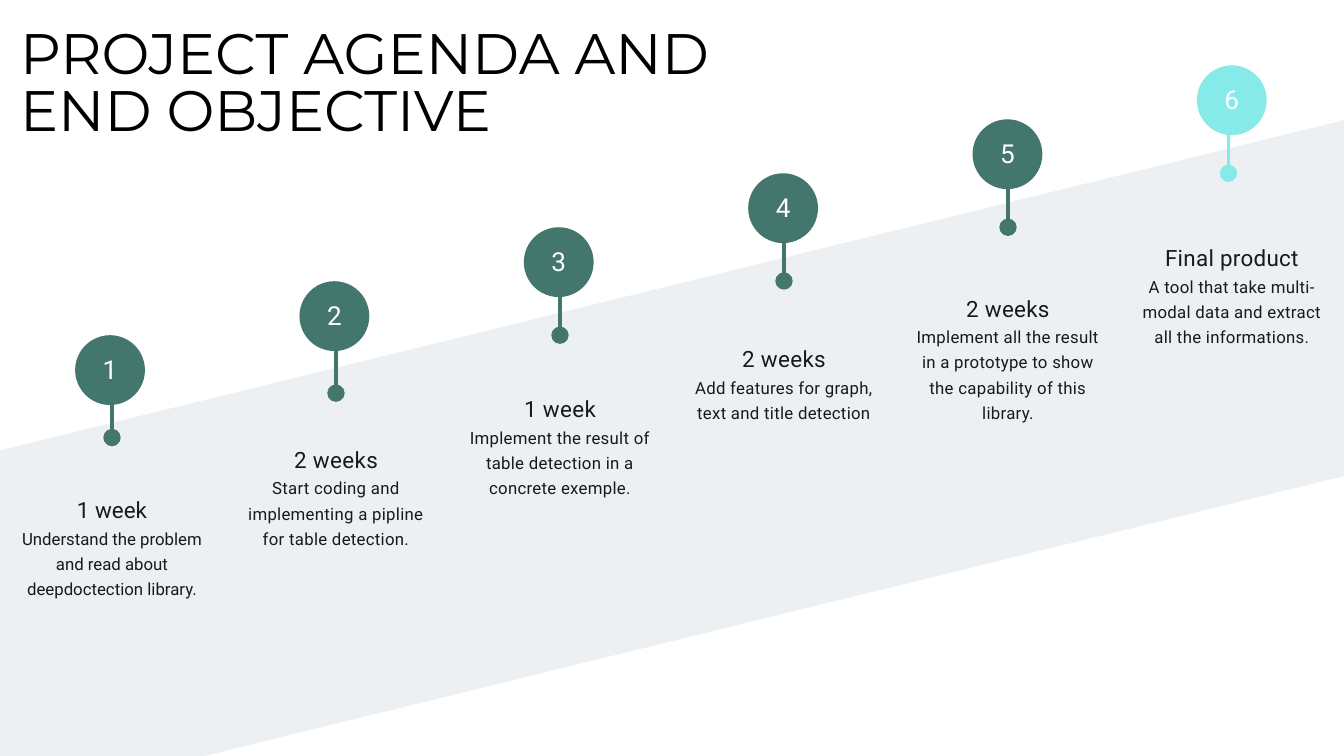
"""Build the project agenda slide: six milestones rising along a slanted band."""

from dataclasses import dataclass

from lxml import etree
from pptx import Presentation
from pptx.dml.color import RGBColor
from pptx.enum.shapes import MSO_CONNECTOR, MSO_SHAPE
from pptx.enum.text import MSO_ANCHOR, MSO_AUTO_SIZE, PP_ALIGN
from pptx.oxml.ns import qn
from pptx.slide import Slide
from pptx.util import Cm, Pt

STRAIGHT = MSO_CONNECTOR.STRAIGHT
RECTANGLE, OVAL = MSO_SHAPE.RECTANGLE, MSO_SHAPE.OVAL
TOP, MIDDLE = MSO_ANCHOR.TOP, MSO_ANCHOR.MIDDLE
NO_AUTOFIT = MSO_AUTO_SIZE.NONE
LEFT, CENTER = PP_ALIGN.LEFT, PP_ALIGN.CENTER

TITLE_ONLY = 5
WIDTH = 50.8
HEIGHT = WIDTH * 9 / 16
TEAL, AQUA, GREY = "43766C", "86EAE9", "EDF0F2"
WHITE, BLACK, INK = "FFFFFF", "000000", "191919"
BODY_LEADING = 27
CELL_INSET = 0.53
BAND_ROTATION = 346.2


@dataclass(frozen=True)
class Milestone:
    """One step of the agenda, with its stem in centimetres."""

    heading: str
    body: str
    stem_top: float
    stem_length: float = 1.6
    stem_shift: float = 0
    heading_spacing: float = 0.4
    body_spacing: float = 0.3
    color: str = TEAL


@dataclass(frozen=True)
class Band:
    """A slanted white strip in centimetres."""

    left: float
    top: float
    width: float
    height: float


MILESTONES = [
    Milestone("1 week", "Understand the problem and read about deepdoctection library.",
              14.94, heading_spacing=0, body_spacing=0),
    Milestone("2 weeks", "Start coding and implementing a pipline for table detection.", 13.26),
    Milestone("1 week", "Implement the result of table detection in a concrete exemple.", 11.07),
    Milestone("2 weeks", "Add features for graph, text and title detection", 9.02),
    Milestone("2 weeks", "Implement all the result in a prototype to show the capability of this library.",
              6.99, heading_spacing=0.3),
    Milestone("Final product", "A tool that take multi-modal data and extract all the informations.",
              4.85, stem_length=1.7, stem_shift=-0.13, heading_spacing=0.3, color=AQUA),
]
BANDS = [Band(0.28, 23.57, 57.58, 15.65), Band(-5.82, -6.1, 57.58, 17.22)]


def rgb(color: str) -> RGBColor:
    """Turn a hex string into a colour."""
    return RGBColor.from_string(color)


def write_text(paragraph, text: str, *, size: float, leading: float, color: str = INK,
               font: str = "Roboto", align=CENTER, spacing: float = 0) -> None:
    """Write one formatted run into a paragraph."""
    paragraph.alignment = align
    paragraph.line_spacing = Pt(leading)
    run = paragraph.add_run()
    run.text = text
    run.font.name = font
    run.font.size = Pt(size)
    run.font.bold = False
    run.font.color.rgb = rgb(color)
    if spacing:
        run._r.get_or_add_rPr().set("spc", str(round(spacing * 100)))


def clear_margins(text_frame) -> None:
    """Remove the insets of a text frame."""
    text_frame.margin_left = text_frame.margin_right = 0
    text_frame.margin_top = text_frame.margin_bottom = 0


def add_filled_shape(slide: Slide, kind, left: float, top: float,
                     width: float, height: float, color: str):
    """Add a flat shape without outline."""
    shape = slide.shapes.add_shape(kind, Cm(left), Cm(top), Cm(width), Cm(height))
    shape.shadow.inherit = False
    shape.fill.solid()
    shape.fill.fore_color.rgb = rgb(color)
    shape.line.fill.background()
    return shape


def fill_cell(cell, milestone: Milestone, index: int) -> None:
    """Format one agenda cell, two lines higher than the one before."""
    properties = cell._tc.get_or_add_tcPr()
    for side in ("a:lnL", "a:lnR", "a:lnT", "a:lnB"):
        border = etree.SubElement(properties, qn(side), w="0")
        etree.SubElement(border, qn("a:noFill"))
    cell.fill.solid()
    cell.fill.fore_color.rgb = rgb(GREY)
    cell.margin_left = cell.margin_right = cell.margin_bottom = Cm(CELL_INSET)
    cell.margin_top = Cm(CELL_INSET) + Pt(BODY_LEADING) * (19 - 2 * index)
    cell.vertical_anchor = TOP
    text_frame = cell.text_frame
    write_text(text_frame.paragraphs[0], milestone.heading, size=24, leading=36,
               spacing=milestone.heading_spacing)
    write_text(text_frame.add_paragraph(), milestone.body, size=18, leading=BODY_LEADING,
               spacing=milestone.body_spacing)


def add_agenda_table(slide: Slide) -> None:
    """Add the one-row table with a column for each milestone."""
    frame = slide.shapes.add_table(1, len(MILESTONES), 0, Cm(-0.08), Cm(WIDTH), Cm(31.7))
    table = frame.table
    table.first_row = table.horz_banding = False
    for index, milestone in enumerate(MILESTONES):
        fill_cell(table.cell(0, index), milestone, index)


def add_band(slide: Slide, band: Band) -> None:
    """Add a white strip that cuts the table along a slope."""
    shape = add_filled_shape(slide, RECTANGLE, band.left, band.top, band.width, band.height, WHITE)
    shape.rotation = BAND_ROTATION


def add_marker(slide: Slide, milestone: Milestone, index: int) -> None:
    """Add the numbered circle and the stem of a milestone."""
    circle = add_filled_shape(slide, OVAL, 2.84 + 8.48 * index, 12.67 - 2.04 * index,
                              2.64, 2.64, milestone.color)
    text_frame = circle.text_frame
    clear_margins(text_frame)
    text_frame.margin_bottom = Cm(0.26)
    text_frame.vertical_anchor = MIDDLE
    write_text(text_frame.paragraphs[0], str(index + 1), size=28, leading=39.2, color=WHITE)

    x = Cm((index + 0.5) * WIDTH / len(MILESTONES) + milestone.stem_shift)
    stem = slide.shapes.add_connector(STRAIGHT, x, Cm(milestone.stem_top),
                                      x, Cm(milestone.stem_top + milestone.stem_length))
    stem.line.color.rgb = rgb(milestone.color)
    stem.line.width = Pt(3.75)
    line = stem.line._get_or_add_ln()
    etree.SubElement(line, qn("a:tailEnd"), type="oval", w="lg", len="lg")
    etree.SubElement(line.getparent(), qn("a:effectLst"))


def add_title(slide: Slide) -> None:
    """Place the title in front of the white strips."""
    title = slide.shapes.title
    title.left, title.top, title.width, title.height = Cm(0.76), Cm(1.09), Cm(27.53), Cm(6.55)
    text_frame = title.text_frame
    clear_margins(text_frame)
    text_frame.word_wrap = True
    text_frame.auto_size = NO_AUTOFIT
    text_frame.vertical_anchor = TOP
    write_text(text_frame.paragraphs[0], "PROJECT AGENDA AND END OBJECTIVE", size=61.1,
               leading=61.1, color=BLACK, font="Montserrat", align=LEFT)
    slide.shapes.element.append(title.element)


def main() -> None:
    """Build and save the presentation."""
    presentation = Presentation()
    presentation.slide_width = Cm(WIDTH)
    presentation.slide_height = Cm(HEIGHT)
    slide = presentation.slides.add_slide(presentation.slide_layouts[TITLE_ONLY])
    slide.background.fill.solid()
    slide.background.fill.fore_color.rgb = rgb(AQUA)
    add_agenda_table(slide)
    for band in BANDS:
        add_band(slide, band)
    for index, milestone in enumerate(MILESTONES):
        add_marker(slide, milestone, index)
    add_title(slide)
    presentation.save("out.pptx")


if __name__ == "__main__":
    main()
